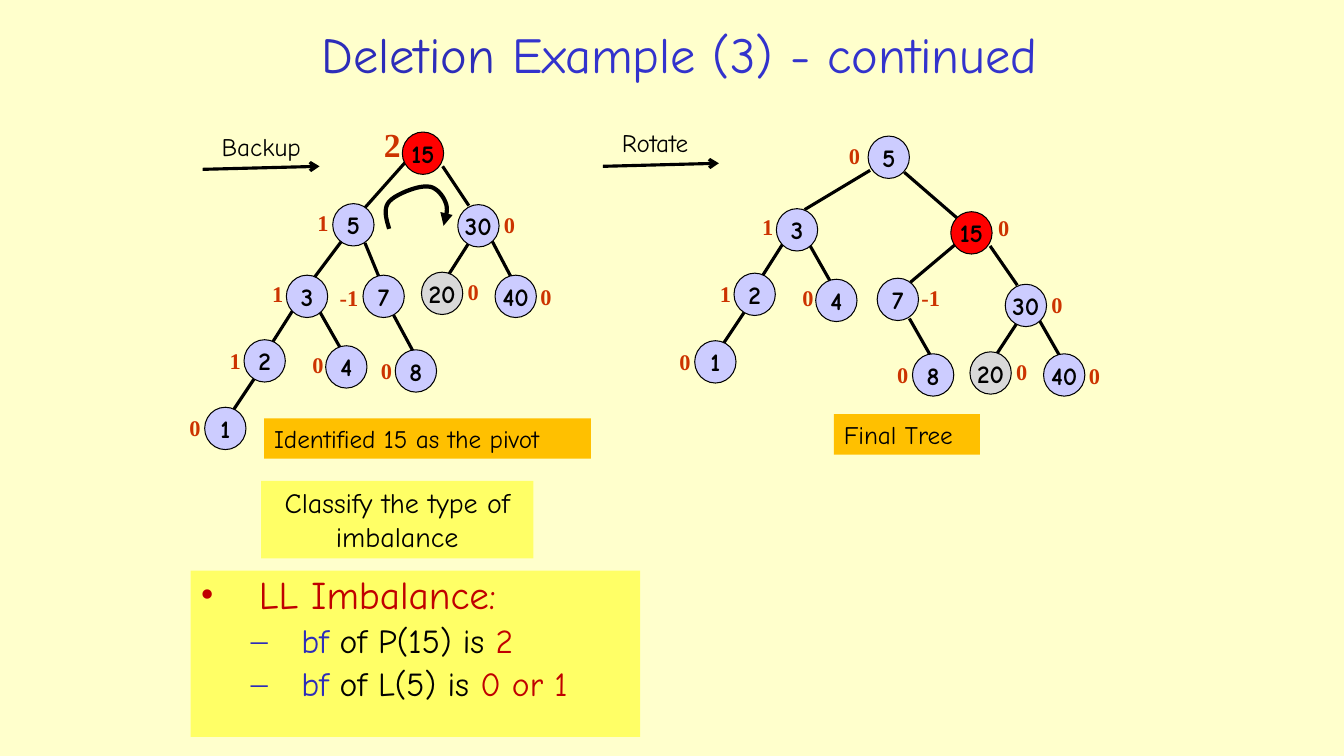
from lxml import etree
from pptx import Presentation
from pptx import util as u
from pptx.dml.color import RGBColor
from pptx.enum import shapes, text
from pptx.oxml.ns import qn

COLORS = {
    "back": "FFFFCC", "note": "FFFF66", "label": "FFC000", "node": "CCCCFF",
    "pivot": "FF0000", "sibling": "D9D9D9", "black": "000000", "balance": "CC3300",
    "red": "C00000", "blue": "2D2DB9", "title": "3333CC",
}
FILLS = {"15": "pivot", "20": "sibling"}
COMIC, TIMES = "Comic Neue", "Times New Roman"
ALIGN, ANCHOR = text.PP_ALIGN, text.MSO_ANCHOR

UNBALANCED_TREE = [
    ("15", 3.99, 1.31, "2", 3.71, 1.18, None),
    ("5", 3.3, 2.02, "1", 3.05, 2.03, (4.02, 1.61, 3.62, 2.06)),
    ("30", 4.54, 2.03, "0", 4.9, 2.05, (4.39, 1.65, 4.65, 2.04)),
    ("3", 2.84, 2.73, "1", 2.6, 2.73, (3.39, 2.39, 3.12, 2.75)),
    ("7", 3.6, 2.73, "-1", 3.27, 2.77, (3.62, 2.41, 3.76, 2.75)),
    ("20", 4.18, 2.7, "0", 4.54, 2.71, (4.65, 2.41, 4.44, 2.74)),
    ("40", 4.91, 2.73, "0", 5.26, 2.76, (4.88, 2.39, 5.07, 2.75)),
    ("2", 2.42, 3.37, "1", 2.18, 3.39, (2.91, 3.07, 2.7, 3.4)),
    ("4", 3.23, 3.43, "0", 3.0, 3.43, (3.17, 3.09, 3.38, 3.46)),
    ("8", 3.92, 3.47, "0", 3.68, 3.49, (3.9, 3.12, 4.1, 3.49)),
    ("1", 2.03, 4.04, "0", 1.78, 4.06, (2.52, 3.76, 2.32, 4.06)),
]
FINAL_TREE = [
    ("5", 8.61, 1.35, "0", 8.32, 1.36, None),
    ("3", 7.7, 2.07, "1", 7.46, 2.07, (8.63, 1.69, 7.98, 2.08)),
    ("15", 9.43, 2.1, "0", 9.8, 2.08, (8.97, 1.71, 9.5, 2.17)),
    ("2", 7.28, 2.71, "1", 7.04, 2.73, (7.77, 2.41, 7.56, 2.74)),
    ("4", 8.09, 2.77, "0", 7.86, 2.77, (8.03, 2.43, 8.24, 2.8)),
    ("7", 8.7, 2.76, "-1", 9.04, 2.77, (9.47, 2.43, 9.03, 2.8)),
    ("30", 9.97, 2.82, "0", 10.33, 2.84, (9.82, 2.44, 10.09, 2.83)),
    ("1", 6.89, 3.38, "0", 6.64, 3.4, (7.38, 3.1, 7.18, 3.4)),
    ("8", 9.05, 3.51, "0", 8.8, 3.53, (9.02, 3.16, 9.23, 3.53)),
    ("20", 9.62, 3.49, "0", 9.98, 3.5, (10.09, 3.2, 9.88, 3.52)),
    ("40", 10.35, 3.51, "0", 10.7, 3.54, (10.31, 3.18, 10.51, 3.53)),
]
ROTATION_START = (3.86, 2.27)
ROTATION_CURVES = [
    ((3.83, 2.17), (3.8, 2.07), (3.86, 2)),
    ((3.92, 1.93), (4.14, 1.84), (4.24, 1.85)),
    ((4.33, 1.85), (4.4, 1.95), (4.42, 2.01)),
    ((4.45, 2.08), (4.42, 2.16), (4.4, 2.24)),
]
IMBALANCE = [
    (28, 0.58, -0.58, "•", [("LL Imbalance:", "red")]),
    (24, 1, -0.5, "–", [("bf", "blue"), (" of P(15) is ", "black"), ("2", "red")]),
    (24, 1, -0.5, "–", [("bf", "blue"), (" of L(5) is ", "black"), ("0 or 1", "red")]),
]


def rgb(name):
    return RGBColor.from_string(COLORS[name])


def inches(*values):
    return [u.Inches(v) for v in values]


class Board:
    def __init__(self, prs):
        self.s = prs.slides.add_slide(prs.slide_layouts[5])
        self.s.background.fill.solid()
        self.s.background.fill.fore_color.rgb = rgb("back")

    def style(self, r, size, color, font=COMIC, bold=False):
        r.font.size, r.font.name, r.font.bold = u.Pt(size), font, bold
        r.font.color.rgb = rgb(color)

    def runs(self, p, pieces, size):
        for words, color in pieces:
            r = p.add_run()
            r.text = words
            self.style(r, size, color)

    def put_text(self, sp, words, size, color="black", font=COMIC, bold=False,
                 align=ALIGN.LEFT, anchor=ANCHOR.TOP, wrap=False):
        tf = sp.text_frame
        tf.text = words
        tf.word_wrap, tf.vertical_anchor = wrap, anchor
        p = tf.paragraphs[0]
        p.alignment = align
        self.style(p.runs[0], size, color, font, bold)

    def title(self, pieces, box):
        sp = self.s.shapes.title
        sp.left, sp.top, sp.width, sp.height = inches(*box)
        sp.text_frame.vertical_anchor = ANCHOR.MIDDLE
        p = sp.text_frame.paragraphs[0]
        p.alignment = ALIGN.CENTER
        self.runs(p, pieces, 36)

    def shape(self, kind, box, fill):
        sp = self.s.shapes.add_shape(kind, *inches(*box))
        sp.shadow.inherit = False
        sp.fill.solid()
        sp.fill.fore_color.rgb = rgb(fill)
        sp.line.fill.background()
        return sp

    def panel(self, box, fill):
        return self.shape(shapes.MSO_SHAPE.RECTANGLE, box, fill)

    def label(self, words, box, size=18, color="black", font=COMIC, bold=False):
        sp = self.s.shapes.add_textbox(*inches(*box))
        self.put_text(sp, words, size, color, font, bold)
        sp.text_frame.auto_size = text.MSO_AUTO_SIZE.SHAPE_TO_FIT_TEXT

    def stroke(self, line, width, head=None):
        line.width = u.Pt(width)
        line.color.rgb = rgb("black")
        if head:
            etree.SubElement(line._get_or_add_ln(), qn("a:tailEnd"), type=head)

    def line(self, ends, head=None):
        sp = self.s.shapes.add_connector(shapes.MSO_CONNECTOR.STRAIGHT, *inches(*ends))
        self.stroke(sp.line, 2.25, head)
        etree.SubElement(sp._element.spPr, qn("a:effectLst"))

    def curve(self, start, curves, steps=10):
        points, p0 = [], start
        for p1, p2, p3 in curves:
            for t in (i / steps for i in range(1, steps + 1)):
                points.append(inches(*(
                    (1 - t) ** 3 * a + 3 * (1 - t) ** 2 * t * b + 3 * (1 - t) * t ** 2 * c + t ** 3 * d
                    for a, b, c, d in zip(p0, p1, p2, p3))))
            p0 = p3
        builder = self.s.shapes.build_freeform(*inches(*start))
        builder.add_line_segments(points, close=False)
        sp = builder.convert_to_shape()
        sp.shadow.inherit = False
        sp.fill.background()
        self.stroke(sp.line, 3, "triangle")

    def node(self, key, x, y):
        sp = self.shape(shapes.MSO_SHAPE.OVAL, (x, y, 0.41, 0.42), FILLS.get(key, "node"))
        self.stroke(sp.line, 0.75)
        self.put_text(sp, key, 18, bold=True, align=ALIGN.CENTER, anchor=ANCHOR.MIDDLE)

    def tree(self, nodes):
        for *_, edge in nodes:
            if edge:
                self.line(edge)
        for key, x, y, balance, bx, by, _ in nodes:
            self.node(key, x, y)
            size, width, height = (24, 0.37, 0.51) if balance == "2" else (16, 0.31, 0.37)
            if balance == "-1":
                width = 0.39
            self.label(balance, (bx, by, width, height), size, "balance", TIMES, True)

    def bullets(self, sp, rows):
        tf = sp.text_frame
        tf.word_wrap, tf.vertical_anchor = True, ANCHOR.TOP
        for i, (size, margin, indent, mark, pieces) in enumerate(rows):
            p = tf.add_paragraph() if i else tf.paragraphs[0]
            p.alignment, p.line_spacing, p.space_before = ALIGN.LEFT, 0.9, u.Pt(size * 0.2)
            p.level = 1 if i else 0
            pPr = p._p.get_or_add_pPr()
            pPr.set("marL", str(u.Inches(margin)))
            pPr.set("indent", str(u.Inches(indent)))
            etree.SubElement(pPr, qn("a:buFont"), typeface=TIMES)
            etree.SubElement(pPr, qn("a:buChar"), char=mark)
            self.runs(p, pieces, size)


def main():
    prs = Presentation()
    prs.slide_width, prs.slide_height = inches(13.33, 7.5)
    board = Board(prs)
    board.title([("Deletion ", "blue"), ("Example (3) - continued", "title")], (1.97, 0.15, 9.54, 0.76))
    board.put_text(board.panel((2.59, 4.77, 2.7, 0.77), "note"), "Classify the type of imbalance", 20,
                   align=ALIGN.CENTER, wrap=True)
    board.bullets(board.panel((1.89, 5.66, 4.46, 1.65), "note"), IMBALANCE)
    for words, box, ends in [
        ("Backup", (2.1, 1.25, 1.03, 0.4), (2.01, 1.68, 3.17, 1.65)),
        ("Rotate", (6.07, 1.21, 1.02, 0.4), (5.98, 1.65, 7.13, 1.62)),
    ]:
        board.line(ends, "arrow")
        board.label(words, box)
    board.tree(UNBALANCED_TREE)
    board.tree(FINAL_TREE)
    board.curve(ROTATION_START, ROTATION_CURVES)
    for words, box in [
        ("Identified 15 as the pivot", (2.62, 4.15, 3.24, 0.4)),
        ("Final Tree", (8.27, 4.11, 1.45, 0.4)),
    ]:
        board.put_text(board.panel(box, "label"), words, 18)
    prs.save("out.pptx")


if __name__ == "__main__":
    main()
